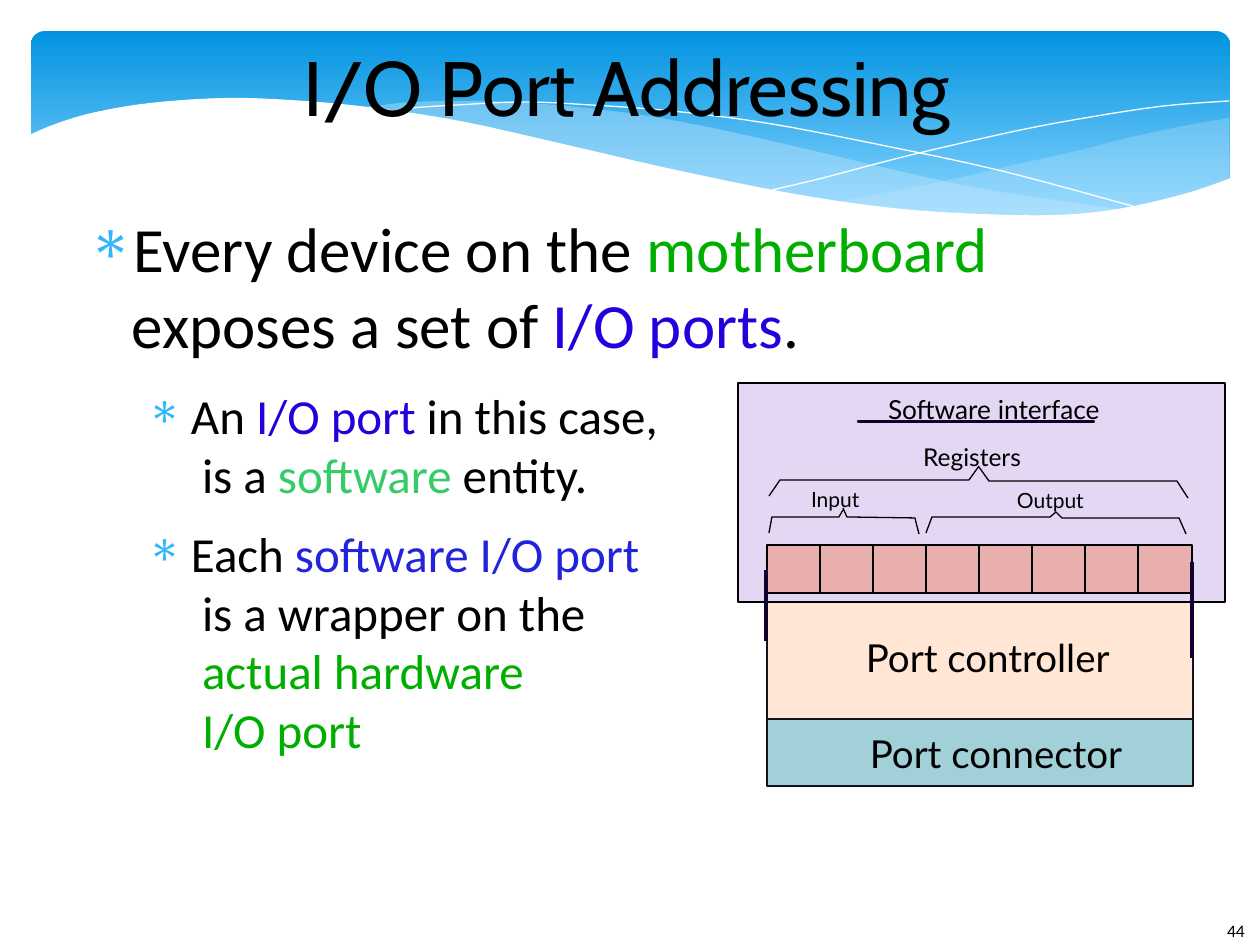
import pptx
import pptx.util
import pptx.dml.color
import pptx.enum.dml
import pptx.enum.shapes
import pptx.enum.text
import pptx.oxml.ns
from lxml import etree

RGBColor = pptx.dml.color.RGBColor
BLACK = RGBColor(0x00, 0x00, 0x00)
WHITE = RGBColor(0xFF, 0xFF, 0xFF)
SKY_TOP = RGBColor(0x02, 0x93, 0xE0)
SKY_BOTTOM = RGBColor(0x83, 0xD3, 0xFE)
WAVE = RGBColor(0xC6, 0xE7, 0xFC)
BULLET = RGBColor(0x31, 0xB6, 0xFD)
GREEN = RGBColor(0x00, 0xAE, 0x00)
LIGHT_GREEN = RGBColor(0x33, 0xCC, 0x66)
INDIGO = RGBColor(0x23, 0x00, 0xDC)
BLUE = RGBColor(0x23, 0x23, 0xDC)
PEACH = RGBColor(0xFF, 0xE6, 0xD5)
LILAC = RGBColor(0xE3, 0xD7, 0xF4)
TEAL = RGBColor(0xA2, 0xD0, 0xD9)
PINK = RGBColor(0xE9, 0xAF, 0xAF)
INK = RGBColor(0x15, 0x11, 0x1D)
VIOLET = RGBColor(0x11, 0x00, 0x2B)

SCALE = 914400 / 126
CURVE_STEPS = 4

RIGHT_WAVE = [
    [(1229, 118), (1178, 127), (1123, 139), (1085, 149), (1014, 165), (949, 180), (890, 192), (833, 202)],
    [(833, 202), (888, 208), (954, 214), (1012, 217), (1076, 214), (1130, 208), (1178, 197), (1229, 179)],
]
MIDDLE_WAVE = [
    [(1125, 210), (1055, 200), (977, 188), (890, 169), (793, 146), (717, 129), (648, 116), (586, 108),
     (529, 103), (479, 101), (413, 102), (360, 108)],
    [(360, 108), (407, 113), (483, 127), (566, 146), (668, 170), (757, 189), (838, 203), (910, 212),
     (989, 217), (1043, 218), (1092, 214), (1125, 210)],
]
FALLING_LINE = [(389, 113), (413, 108), (457, 105), (524, 102), (591, 105), (672, 111), (766, 123),
                (876, 144), (1002, 171), (1143, 209)]
RISING_LINE = [(772, 190), (823, 178), (907, 156), (1016, 131), (1091, 117), (1164, 106), (1229, 101)]
WHITE_WAVE = [
    [(1231, 178), (1184, 194), (1118, 209), (1055, 215), (980, 214), (892, 208), (789, 193), (667, 168),
     (563, 144), (460, 121), (368, 107), (290, 100), (223, 98), (150, 103), (96, 112), (58, 123), (29, 135)],
    [(29, 282), (1231, 282)],
]
BRACKET_HALVES = [
    [(769, 496), (780, 480), (969, 480), (979, 466)],
    [(1188, 498), (1177, 481), (989, 481), (979, 467)],
    [(769, 533), (772, 517), (839, 517), (843, 510)],
    [(919, 534), (915, 518), (847, 517), (843, 508)],
    [(926, 533), (932, 517), (1050, 517), (1056, 512)],
    [(1186, 534), (1179, 518), (1062, 518), (1056, 512)],
]
BODY = [
    (0, 36, 14.1, [("Every device on the ", BLACK), ("motherboard", GREEN), (" exposes a set of ", BLACK),
                   ("I/O ports", INDIGO), (".", BLACK)]),
    (1, 28, 11.3, [("An ", BLACK), ("I/O port", INDIGO), (" in this case,\n is a ", BLACK),
                   ("software", LIGHT_GREEN), (" entity.", BLACK)]),
    (1, 28, 11.3, [("Each ", BLACK), ("software I/O port\n", BLUE), (" is a wrapper on the\n ", BLACK),
                   ("actual hardware\n I/O port", GREEN)]),
]


def px(*lengths):
    return [pptx.util.Emu(round(length * SCALE)) for length in lengths]


def smooth(points):
    padded = [points[0], *points, points[-1]]
    curve = [points[0]]
    for before, start, end, after in zip(padded, padded[1:], padded[2:], padded[3:]):
        for step in range(1, CURVE_STEPS + 1):
            t = step / CURVE_STEPS
            curve.append(tuple(
                b + t * (c - a) / 2 + t * t * (a - 2.5 * b + 2 * c - d / 2)
                + t ** 3 * (3 * b - a - 3 * c + d) / 2
                for a, b, c, d in zip(before, start, end, after)))
    return curve


def set_line(line, color):
    line.color.rgb = color
    line.width = pptx.util.Pt(0)


def add_outline(slide, points, closed):
    corners = [px(*point) for point in points]
    builder = slide.shapes.build_freeform(*corners[0], scale=1)
    builder.add_line_segments(corners[1:], close=closed)
    shape = builder.convert_to_shape()
    shape.shadow.inherit = False
    return shape


def add_area(slide, edges, color, alpha=100):
    shape = add_outline(slide, [point for edge in edges for point in smooth(edge)], True)
    shape.fill.solid()
    shape.fill.fore_color.rgb = color
    shape.line.fill.background()
    if alpha < 100:
        color_element = shape.fill._xPr.find(".//" + pptx.oxml.ns.qn("a:srgbClr"))
        etree.SubElement(color_element, pptx.oxml.ns.qn("a:alpha"), val=str(alpha * 1000))


def add_polyline(slide, points, color):
    shape = add_outline(slide, points, False)
    shape.fill.background()
    set_line(shape.line, color)


def add_rectangle(slide, box, fill, line):
    shape = slide.shapes.add_shape(pptx.enum.shapes.MSO_SHAPE.RECTANGLE, *px(*box))
    shape.shadow.inherit = False
    shape.fill.solid()
    shape.fill.fore_color.rgb = fill
    set_line(shape.line, line)


def add_line(slide, ends, color):
    connector = slide.shapes.add_connector(pptx.enum.shapes.MSO_CONNECTOR.STRAIGHT, *px(*ends))
    set_line(connector.line, color)
    etree.SubElement(connector._element.spPr, pptx.oxml.ns.qn("a:effectLst"))


def add_run(paragraph, text, font, size, color):
    for index, part in enumerate(text.split("\n")):
        if index:
            paragraph.add_line_break()
        if part:
            run = paragraph.add_run()
            run.text = part
            run.font.name = font
            run.font.size = pptx.util.Pt(size)
            run.font.color.rgb = color


def prepare_frame(shape):
    frame = shape.text_frame
    frame.word_wrap = True
    frame.margin_left = frame.margin_top = frame.margin_right = frame.margin_bottom = 0
    return frame


def add_label(slide, text, box, size, font="Lato"):
    frame = prepare_frame(slide.shapes.add_textbox(*px(*box)))
    add_run(frame.paragraphs[0], text, font, size, BLACK)


def set_bullet(paragraph, level):
    properties = paragraph._p.get_or_add_pPr()
    left, hanging = px(118 if level else 59, 44)
    properties.set("marL", str(left))
    properties.set("indent", str(-hanging))
    color = etree.SubElement(properties, pptx.oxml.ns.qn("a:buClr"))
    etree.SubElement(color, pptx.oxml.ns.qn("a:srgbClr"), val=str(BULLET))
    etree.SubElement(properties, pptx.oxml.ns.qn("a:buFont"), typeface="Symbol")
    etree.SubElement(properties, pptx.oxml.ns.qn("a:buChar"), char="∗")


def add_banner(slide):
    banner = slide.shapes.add_shape(pptx.enum.shapes.MSO_SHAPE.ROUNDED_RECTANGLE, *px(31, 31, 1199, 197))
    banner.adjustments[0] = 0.07
    banner.shadow.inherit = False
    banner.line.fill.background()
    banner.fill.gradient()
    banner.fill.gradient_angle = 270
    for stop, color, position in zip(banner.fill.gradient_stops, (SKY_TOP, SKY_BOTTOM), (0, 0.9)):
        stop.color.rgb = color
        stop.position = position
    add_area(slide, RIGHT_WAVE, WAVE, 29)
    add_area(slide, MIDDLE_WAVE, WAVE, 40)
    add_polyline(slide, smooth(FALLING_LINE), WHITE)
    add_polyline(slide, smooth(RISING_LINE), WHITE)
    add_area(slide, WHITE_WAVE, WHITE)


def format_title(slide):
    title = slide.shapes.title
    title.left, title.top, title.width, title.height = px(116, 21, 1022, 129)
    frame = prepare_frame(title)
    frame.vertical_anchor = pptx.enum.text.MSO_ANCHOR.MIDDLE
    frame.auto_size = pptx.enum.text.MSO_AUTO_SIZE.NONE
    paragraph = frame.paragraphs[0]
    paragraph.alignment = pptx.enum.text.PP_ALIGN.CENTER
    add_run(paragraph, "I/O Port Addressing", "Cabin", 44, BLACK)
    slide.shapes._spTree.append(title._element)


def add_body(slide):
    frame = prepare_frame(slide.shapes.add_textbox(*px(73, 210, 1121, 624)))
    for index, (level, size, space_after, runs) in enumerate(BODY):
        paragraph = frame.add_paragraph() if index else frame.paragraphs[0]
        paragraph.level = level
        paragraph.space_after = pptx.util.Pt(space_after)
        set_bullet(paragraph, level)
        for text, color in runs:
            add_run(paragraph, text, "Calibri", size, color)


def add_port_diagram(slide):
    add_rectangle(slide, (767, 592, 426, 127), PEACH, INK)
    add_rectangle(slide, (738, 383, 487, 219), LILAC, BLACK)
    add_rectangle(slide, (767, 719, 426, 67), TEAL, INK)
    add_label(slide, "Port connector", (870, 730, 267, 50), 22)
    add_label(slide, "Port controller", (866, 634, 257, 50), 22)
    for index in range(8):
        add_rectangle(slide, (767 + 53 * index, 545, 54, 48), PINK, BLACK)
    add_label(slide, "Registers", (923, 442, 122, 35), 14)
    for points in BRACKET_HALVES:
        add_polyline(slide, points, BLACK)
    add_label(slide, "Input", (811, 487, 56, 28), 12)
    add_label(slide, "Output", (1017, 488, 72, 28), 12)
    add_line(slide, (766, 570, 766, 641), VIOLET)
    add_line(slide, (1192, 562, 1192, 658), VIOLET)
    add_label(slide, "Software interface", (888, 393, 223, 35), 15)
    add_rectangle(slide, (858, 421, 236, 1), LILAC, VIOLET)


def main():
    presentation = pptx.Presentation()
    presentation.slide_width, presentation.slide_height = px(1260, 945)
    slide = presentation.slides.add_slide(presentation.slide_layouts[5])
    add_banner(slide)
    add_label(slide, "44", (1227, 920, 33, 25), 10, "Calibri")
    format_title(slide)
    add_body(slide)
    add_port_diagram(slide)
    presentation.save("out.pptx")


if __name__ == "__main__":
    main()
